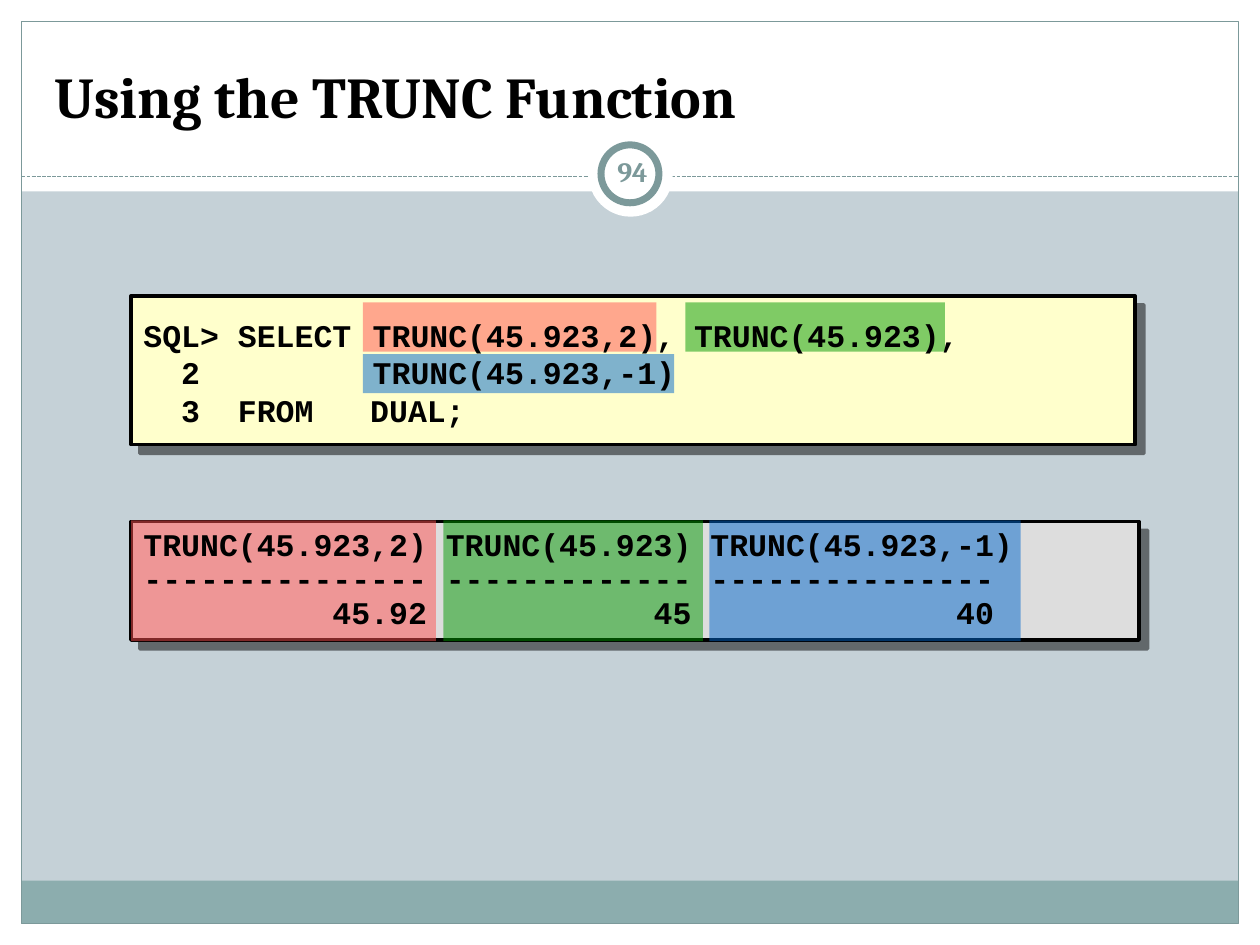
import pptx
import pptx.dml.color
import pptx.enum.dml
import pptx.enum.shapes
import pptx.enum.text
import pptx.oxml
import pptx.oxml.ns
import pptx.util
from lxml import etree

WIDTH, HEIGHT = 10, 7.5
MARGIN = 0.17
TEAL = "7C999A"
RECT = pptx.enum.shapes.MSO_SHAPE.RECTANGLE
OVAL = pptx.enum.shapes.MSO_SHAPE.OVAL
MIDDLE = pptx.enum.text.MSO_ANCHOR.MIDDLE
QUERY = ["SQL> SELECT \tTRUNC(45.923,2), TRUNC(45.923),",
         "  2  \t\tTRUNC(45.923,-1)",
         "  3  FROM   DUAL;"]
RESULT = ["TRUNC(45.923,2) TRUNC(45.923) TRUNC(45.923,-1)",
          "--------------- ------------- ---------------",
          "          45.92            45              40"]
HIGHLIGHTS = [("FF5050", (1.04, 2.42), (2.88, 2.4, 2.33, 0.39)),
              ("009900", (3.52, 2.06), (5.44, 2.4, 2.06, 0.39)),
              ("0066CC", (5.63, 2.47), (2.88, 2.81, 2.47, 0.31))]


def inches(lengths):
    """Convert a sequence of inch values to slide lengths."""
    return [pptx.util.Inches(length) for length in lengths]


def paint(color_format, color):
    """Set a colour from a hex string."""
    color_format.rgb = pptx.dml.color.RGBColor.from_string(color)


def add_child(parent, tag, **attributes):
    """Append a DrawingML child element with the given attributes."""
    return etree.SubElement(parent, pptx.oxml.ns.qn(tag), attributes)


def add_panel(shapes, kind, box, fill=None, line=None, weight=0.75, alpha=None):
    """Add a flat preset shape with optional fill, outline and opacity."""
    panel = shapes.add_shape(kind, *inches(box))
    panel.shadow.inherit = False
    if fill:
        panel.fill.solid()
        paint(panel.fill.fore_color, fill)
    else:
        panel.fill.background()
    if line:
        paint(panel.line.color, line)
        panel.line.width = pptx.util.Pt(weight)
    else:
        panel.line.fill.background()
    if alpha:
        shade = panel._element.spPr.find(".//" + pptx.oxml.ns.qn("a:srgbClr"))
        add_child(shade, "a:alpha", val=str(alpha * 1000))
    return panel


def add_code_panel(shapes, box, fill):
    """Add a bordered code panel with a hard drop shadow."""
    panel = add_panel(shapes, RECT, box, fill, "000000", 2)
    effects = panel._element.spPr.find(pptx.oxml.ns.qn("a:effectLst"))
    shadow = add_child(effects, "a:outerShdw", blurRad="0", dist=str(pptx.util.Pt(7.1)),
                       dir="2700000", algn="ctr", rotWithShape="0")
    add_child(add_child(shadow, "a:srgbClr", val="000000"), "a:alpha", val="50000")


def add_run(paragraph, text, size, font, color, bold=None):
    """Add one formatted run to a paragraph."""
    run = paragraph.add_run()
    run.text = text
    run.font.size = pptx.util.Pt(size)
    run.font.name = font
    run.font.bold = bold
    paint(run.font.color, color)


def add_code(shapes, box, lines, tabs, anchor, spacing=None):
    """Add lines of code in a text box with left tab stops."""
    frame = shapes.add_textbox(*inches(box)).text_frame
    frame.word_wrap = True
    frame.vertical_anchor = anchor
    for index, line in enumerate(lines):
        paragraph = frame.add_paragraph() if index else frame.paragraphs[0]
        if spacing:
            paragraph.line_spacing = spacing
        stops = add_child(paragraph._p.get_or_add_pPr(), "a:tabLst")
        for tab in tabs:
            add_child(stops, "a:tab", pos=str(pptx.util.Inches(tab)), algn="l")
        add_run(paragraph, line, 18, "Courier New", "000000", True)


def add_frame(shapes):
    """Draw the white margins, footer band, border and number badge."""
    side = WIDTH - MARGIN
    base = HEIGHT - MARGIN
    for box in [(0, base, WIDTH, MARGIN), (0, 0, WIDTH, 1.52),
                (0, 0, MARGIN, HEIGHT), (side, 0, MARGIN, HEIGHT)]:
        add_panel(shapes, RECT, box, "FFFFFF")
    add_panel(shapes, RECT, (MARGIN, base - 0.34, side - MARGIN, 0.34), "8CADAE")
    add_panel(shapes, RECT, (MARGIN, MARGIN, side - MARGIN, base - MARGIN), line=TEAL)
    divider = shapes.add_connector(pptx.enum.shapes.MSO_CONNECTOR.STRAIGHT,
                                   *inches((MARGIN, 1.4, side, 1.4)))
    paint(divider.line.color, TEAL)
    divider.line.width = pptx.util.Pt(0.75)
    divider.line.dash_style = pptx.enum.dml.MSO_LINE.SQUARE_DOT
    add_child(divider._element.spPr, "a:effectLst")
    add_panel(shapes, OVAL, (4.67, 1.05, 0.67, 0.67), "FFFFFF")
    add_panel(shapes, OVAL, (4.77, 1.15, 0.46, 0.46), "FFFFFF", TEAL, 4)


def add_highlights(shapes):
    """Pair each result column with its expression in the query."""
    for color, (left, width), expression in HIGHLIGHTS:
        pair = shapes.add_group_shape().shapes
        for box in [(left, 4.13, width, 0.96), expression]:
            add_panel(pair, RECT, box, color, alpha=50)


def add_title(title, text):
    """Place and format the title above the frame."""
    title.left, title.top, title.width, title.height = inches((0.33, 0.25, 9.33, 0.83))
    title._element.getparent().append(title._element)
    title.text_frame.vertical_anchor = pptx.enum.text.MSO_ANCHOR.BOTTOM
    paragraph = title.text_frame.paragraphs[0]
    paragraph.alignment = pptx.enum.text.PP_ALIGN.LEFT
    add_run(paragraph, text, 33, "Cambria", "000000", True)


def add_number(shapes, number):
    """Write the slide number in its badge."""
    frame = shapes.add_textbox(*inches((4.77, 1.12, 0.5, 0.48))).text_frame
    frame.word_wrap = True
    frame.vertical_anchor = MIDDLE
    frame.margin_left = frame.margin_right = pptx.util.Inches(0.05)
    paragraph = frame.paragraphs[0]
    paragraph.alignment = pptx.enum.text.PP_ALIGN.CENTER
    add_run(paragraph, number, 16, "Cambria", TEAL, True)


def main():
    """Build the slide and save it."""
    deck = pptx.Presentation()
    deck.slide_width, deck.slide_height = inches((WIDTH, HEIGHT))
    slide = deck.slides.add_slide(deck.slide_layouts[5])
    slide.background.fill.solid()
    paint(slide.background.fill.fore_color, "C5D1D7")
    shapes = slide.shapes
    add_frame(shapes)
    add_code_panel(shapes, (1.04, 2.35, 7.97, 1.18), "FFFFCC")
    add_code_panel(shapes, (1.04, 4.14, 8, 0.94), "DDDDDD")
    add_highlights(shapes)
    add_code(shapes, (1.04, 2.09, 8, 1.73), QUERY, (1.31, 1.82), MIDDLE)
    add_code(shapes, (1.04, 4.15, 7.97, 0.91), RESULT, (1.31,),
             pptx.enum.text.MSO_ANCHOR.TOP, 0.9)
    add_title(shapes.title, "Using the TRUNC Function")
    add_number(shapes, "94")
    deck.save("out.pptx")


if __name__ == "__main__":
    main()
